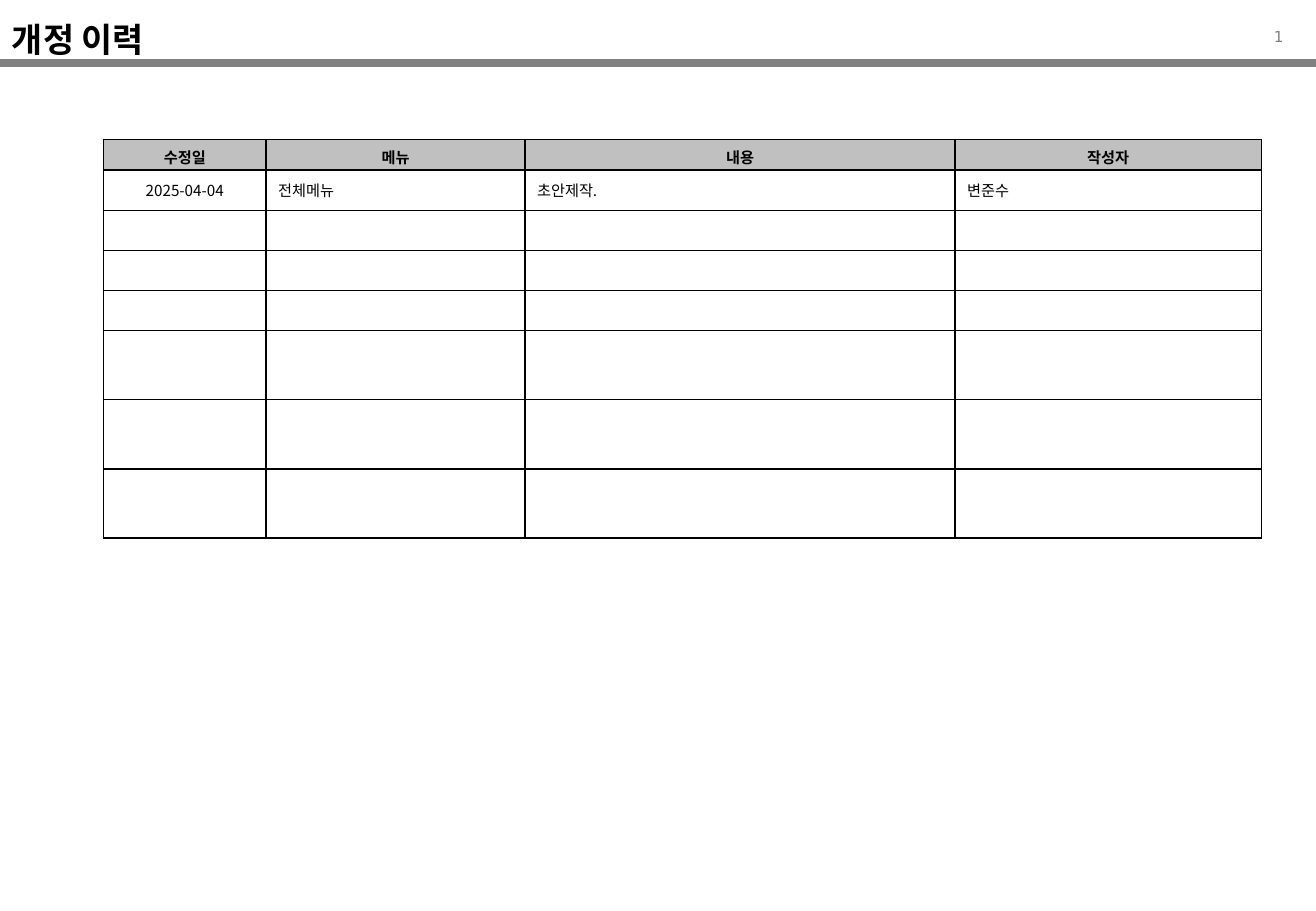
from dataclasses import dataclass

from lxml.etree import SubElement
from pptx import Presentation
from pptx.dml.color import RGBColor
from pptx.enum.shapes import MSO_CONNECTOR
from pptx.enum.text import MSO_ANCHOR, PP_ALIGN
from pptx.oxml import parse_xml
from pptx.oxml.ns import nsdecls, qn
from pptx.util import Inches, Pt


@dataclass(frozen=True)
class Theme:
    font: str = "Noto Sans CJK KR"
    number_font: str = "DejaVu Sans"
    ink: str = "000000"
    gray: str = "808080"
    header_fill: str = "C0C0C0"
    cell_fill: str = "FFFFFF"
    title_size: float = 20
    body_size: float = 9
    rule_width: float = 4.5
    border_width: float = 1


THEME = Theme()
SLIDE_WIDTH, SLIDE_HEIGHT = 10.83, 7.5
HEADER_BOX = (0, 0, SLIDE_WIDTH, 0.52)
TABLE_BOX = (0.85, 1.15, 9.53, 3.28)
COLUMN_WIDTHS = (1.34, 2.13, 3.54, 2.52)
ROW_HEIGHTS = (0.25,) + (0.33,) * 4 + (0.57,) * 3
REVISIONS = (
    ("수정일", "메뉴", "내용", "작성자"),
    ("2025-04-04", "전체메뉴", "초안제작.", "변준수"),
)


def format_font(font, size, color=THEME.ink, name=THEME.font, bold=False):
    font.name = name
    font.size = Pt(size)
    font.bold = bold
    font.color.rgb = RGBColor.from_string(color)
    SubElement(font._element, qn("a:ea")).set("typeface", name)


def add_label(slide, box, text, size, **font_options):
    shape = slide.shapes.add_textbox(*map(Inches, box))
    frame = shape.text_frame
    frame.word_wrap = True
    frame.text = text
    format_font(frame.paragraphs[0].runs[0].font, size, **font_options)
    return frame


def add_header(slide, box):
    left, top, width, height = box
    number = add_label(
        slide, (left + width - 0.69, top + 0.13, 0.52, 0.3), "1",
        THEME.body_size, color=THEME.gray, name=THEME.number_font)
    number.paragraphs[0].alignment = PP_ALIGN.RIGHT
    number.paragraphs[0].line_spacing = 1.3

    bottom = Inches(top + height)
    rule = slide.shapes.add_connector(
        MSO_CONNECTOR.STRAIGHT, Inches(left), bottom, Inches(left + width), bottom)
    rule.line.color.rgb = RGBColor.from_string(THEME.gray)
    rule.line.width = Pt(THEME.rule_width)
    SubElement(rule._element.spPr, qn("a:effectLst"))

    title = add_label(slide, (left, top + 0.21, 2.91, 0.22), "개정 이력",
                      THEME.title_size, bold=True)
    title.vertical_anchor = MSO_ANCHOR.MIDDLE


def add_borders(cell):
    properties = cell._tc.get_or_add_tcPr()
    for position, side in enumerate(("lnL", "lnR", "lnT", "lnB")):
        properties.insert(position, parse_xml(
            f'<a:{side} {nsdecls("a")} w="{Pt(THEME.border_width)}"><a:solidFill>'
            f'<a:srgbClr val="{THEME.ink}"/></a:solidFill></a:{side}>'))


def format_cell(cell, text, is_header, centered):
    cell.vertical_anchor = MSO_ANCHOR.MIDDLE
    cell.fill.solid()
    cell.fill.fore_color.rgb = RGBColor.from_string(
        THEME.header_fill if is_header else THEME.cell_fill)
    add_borders(cell)
    cell.text_frame.text = text
    paragraph = cell.text_frame.paragraphs[0]
    paragraph.alignment = PP_ALIGN.CENTER if centered else PP_ALIGN.LEFT
    paragraph.font.size = Pt(THEME.body_size)
    for run in paragraph.runs:
        format_font(run.font, THEME.body_size, bold=is_header)


def add_revision_table(slide, box):
    table = slide.shapes.add_table(
        len(ROW_HEIGHTS), len(COLUMN_WIDTHS), *map(Inches, box)).table
    table.horz_banding = False
    for column, width in zip(table.columns, COLUMN_WIDTHS):
        column.width = Inches(width)
    for row_index, height in enumerate(ROW_HEIGHTS):
        table.rows[row_index].height = Inches(height)
        is_header = row_index == 0
        for column_index in range(len(COLUMN_WIDTHS)):
            text = REVISIONS[row_index][column_index] if row_index < len(REVISIONS) else ""
            format_cell(table.cell(row_index, column_index), text, is_header,
                        centered=is_header or column_index == 0)


def main():
    presentation = Presentation()
    presentation.slide_width = Inches(SLIDE_WIDTH)
    presentation.slide_height = Inches(SLIDE_HEIGHT)
    slide = presentation.slides.add_slide(presentation.slide_layouts[6])
    add_header(slide, HEADER_BOX)
    add_revision_table(slide, TABLE_BOX)
    presentation.save("out.pptx")


if __name__ == "__main__":
    main()
